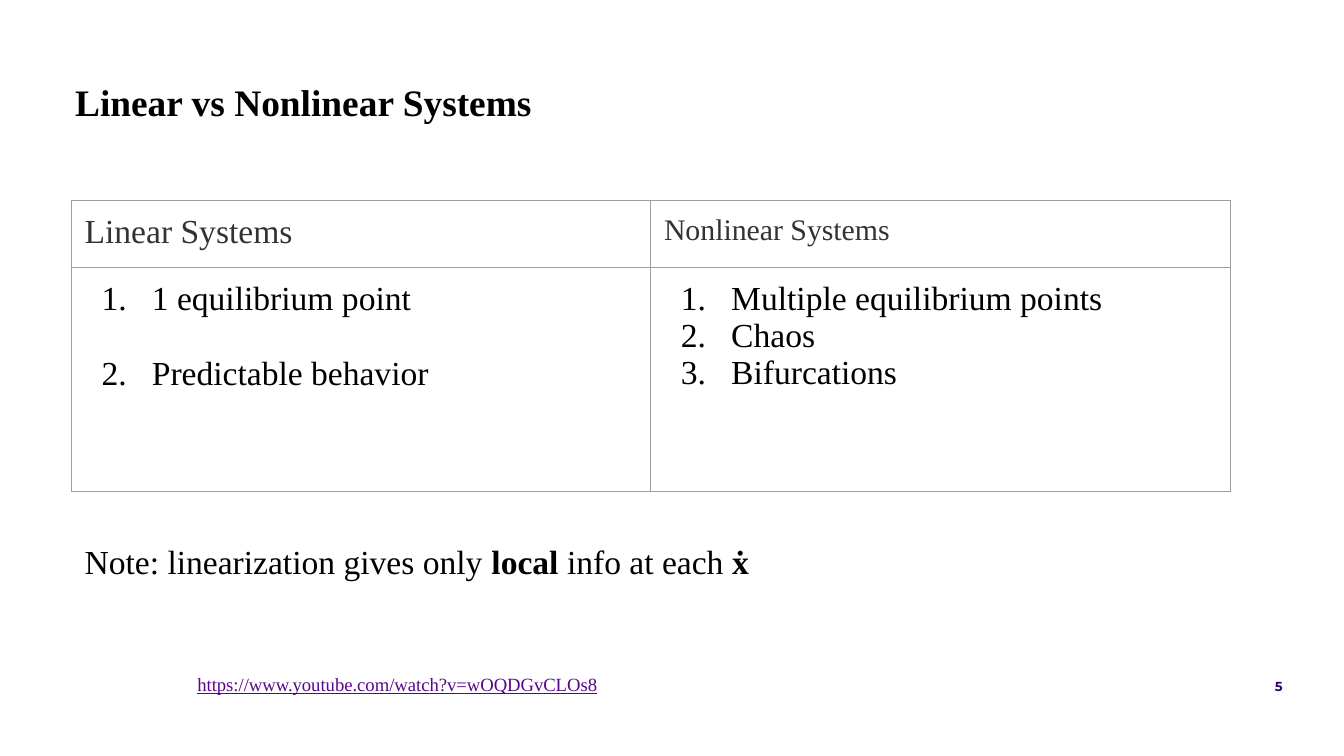
from dataclasses import dataclass

from lxml.etree import SubElement
from pptx import Presentation
from pptx.dml.color import RGBColor as RGB
from pptx.enum.text import MSO_ANCHOR as Anchor, PP_ALIGN as Align
from pptx.oxml.ns import qn
from pptx.util import Cm, Pt


@dataclass(frozen=True)
class Theme:
    serif: str = "Times New Roman"
    sans: str = "Montserrat"
    black: str = "000000"
    header: str = "333333"
    link: str = "57068C"
    number: str = "330662"
    border: str = "9E9E9E"
    title_size: float = 20
    body_size: float = 18
    small_header_size: float = 16
    link_size: float = 10
    number_size: float = 7


THEME = Theme()
MARGIN = Cm(0.25)
MARGINS = {f"margin_{side}": MARGIN for side in ("left", "top", "right", "bottom")}


def set_all(target, values):
    for name, value in values.items():
        setattr(target, name, value)


def add_run(paragraph, text, size=THEME.body_size, color=THEME.black, **font_format):
    run = paragraph.add_run()
    run.text = text
    set_all(run.font, {"name": THEME.serif, "size": Pt(size), **font_format})
    run.font.color.rgb = RGB.from_string(color)


def add_text_box(slide, left, top, width, height, **frame_format):
    """Add a wrapped box and return its first paragraph."""
    shape = slide.shapes.add_textbox(Cm(left), Cm(top), Cm(width), Cm(height))
    set_all(shape.text_frame, {"word_wrap": True, **MARGINS, **frame_format})
    return shape.text_frame.paragraphs[0]


def add_numbering(paragraph):
    properties = paragraph._p.get_or_add_pPr()
    properties.set("marL", str(Cm(1.27)))
    properties.set("indent", str(-Cm(0.95)))
    color = SubElement(properties, qn("a:buClr"))
    SubElement(color, qn("a:srgbClr"), val=THEME.black)
    SubElement(properties, qn("a:buFont"), typeface=THEME.serif)
    SubElement(properties, qn("a:buAutoNum"), type="arabicPeriod")


def add_borders(cell):
    properties = cell._tc.get_or_add_tcPr()
    for position, side in enumerate(("lnL", "lnR", "lnT", "lnB")):
        line = SubElement(properties, qn(f"a:{side}"), w=str(Pt(0.75)))
        fill = SubElement(line, qn("a:solidFill"))
        SubElement(fill, qn("a:srgbClr"), val=THEME.border)
        properties.remove(line)
        properties.insert(position, line)


def fill_list(cell, items, gap):
    frame = cell.text_frame
    for index, item in enumerate(items):
        paragraph = frame.add_paragraph() if index else frame.paragraphs[0]
        add_numbering(paragraph)
        if index and gap:
            paragraph.space_before = Pt(gap)
        add_run(paragraph, item)


def add_comparison(slide, columns):
    """Each column is (heading, heading size, items, gap between items)."""
    table = slide.shapes.add_table(
        2, len(columns), Cm(1.35), Cm(3.79), Cm(21.9), Cm(5.45)).table
    set_all(table, {"first_row": False, "horz_banding": False})
    for row, height in zip(table.rows, (1.21, 4.24)):
        row.height = Cm(height)
    for cell in table.iter_cells():
        set_all(cell, MARGINS)
        cell.fill.background()
        add_borders(cell)
    for index, (heading, size, items, gap) in enumerate(columns):
        paragraph = table.cell(0, index).text_frame.paragraphs[0]
        add_run(paragraph, heading, size, THEME.header)
        fill_list(table.cell(1, index), items, gap)


def main():
    presentation = Presentation()
    set_all(presentation, {"slide_width": Cm(25.4), "slide_height": Cm(14.29)})
    slide = presentation.slides.add_slide(presentation.slide_layouts[6])

    # Title
    title = add_text_box(slide, 0.99, 0.99, 23.42, 1.73,
                         margin_left=Cm(0.43), vertical_anchor=Anchor.MIDDLE)
    set_all(title, {"line_spacing": 1.15, "space_after": Pt(4)})
    add_run(title, "Linear vs Nonlinear Systems", THEME.title_size, bold=True)

    # Comparison table
    add_comparison(slide, [
        ("Linear Systems", THEME.body_size,
         ["1 equilibrium point", "Predictable behavior"], 20),
        ("Nonlinear Systems", THEME.small_header_size,
         ["Multiple equilibrium points", "Chaos", "Bifurcations"], 0),
    ])

    # Note
    note = add_text_box(slide, 1.35, 9.98, 14.17, 1.27)
    for text, bold in (("Note: linearization gives only ", False), ("local", True),
                       (" info at each ", False), ("ẋ", True)):
        add_run(note, text, bold=bold)

    # Video address
    address = add_text_box(slide, 3.48, 12.5, 15.93, 0.94)
    add_run(address, "https://www.youtube.com/watch?v=wOQDGvCLOs8",
            THEME.link_size, THEME.link, underline=True)

    # Slide number
    number = add_text_box(slide, 12.83, 12.55, 11.66, 0.86,
                          vertical_anchor=Anchor.MIDDLE)
    number.alignment = Align.RIGHT
    add_run(number, "5", THEME.number_size, THEME.number, name=THEME.sans, bold=True)

    presentation.save("out.pptx")


if __name__ == "__main__":
    main()
